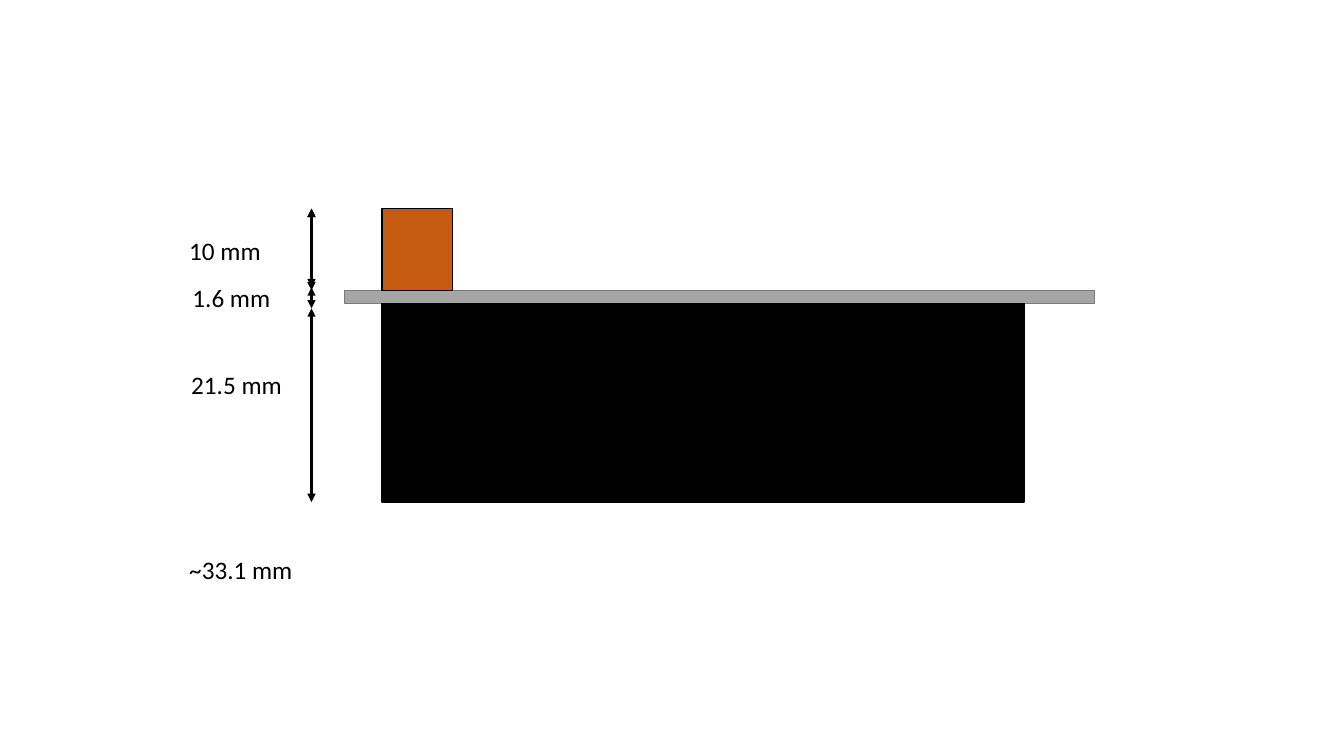
from lxml import etree
from pptx import Presentation
from pptx import util as u
from pptx.dml.color import RGBColor
from pptx.enum import shapes, text
from pptx.oxml.ns import qn

HUES = {"ink": "000000", "board": "A5A5A5", "edge": "7A7A7A", "copper": "C55A11"}


class Sketch:
    font = "Calibri"
    size = u.Pt(18)

    def __init__(self, slide):
        self.slide = slide

    def hue(self, name):
        return RGBColor.from_string(HUES[name])

    def block(self, left, top, width, height, fill, edge="ink"):
        box = self.slide.shapes.add_shape(
            shapes.MSO_SHAPE.RECTANGLE,
            u.Cm(left), u.Cm(top), u.Cm(width), u.Cm(height))
        box.shadow.inherit = False
        box.fill.solid()
        box.fill.fore_color.rgb = self.hue(fill)
        box.line.color.rgb = self.hue(edge)
        box.line.width = u.Pt(1)

    def arrow(self, left, top, base):
        line = self.slide.shapes.add_connector(
            shapes.MSO_CONNECTOR.STRAIGHT,
            u.Cm(left), u.Cm(top), u.Cm(left), u.Cm(base))
        line.line.color.rgb = self.hue("ink")
        line.line.width = u.Pt(1.5)
        stroke = line.line._get_or_add_ln()
        for end in ("a:headEnd", "a:tailEnd"):
            etree.SubElement(stroke, qn(end), type="triangle")
        etree.SubElement(line._element.spPr, qn("a:effectLst"))

    def label(self, left, top, width, words):
        box = self.slide.shapes.add_textbox(
            u.Cm(left), u.Cm(top), u.Cm(width), u.Cm(1.03))
        frame = box.text_frame
        frame.word_wrap = True
        frame.auto_size = text.MSO_AUTO_SIZE.SHAPE_TO_FIT_TEXT
        para = frame.paragraphs[0]
        para.text = words
        para.font.name = self.font
        para.font.size = self.size
        para.font.color.rgb = self.hue("ink")


def main():
    deck = Presentation()
    deck.slide_width, deck.slide_height = u.Cm(33.87), u.Cm(19.05)
    art = Sketch(deck.slides.add_slide(deck.slide_layouts[6]))

    peak, board, body, base = 5.26, 7.32, 7.65, 12.65
    art.block(8.69, board, 18.9, body - board, "board", "edge")
    art.block(9.63, body, 16.18, base - body, "ink")
    art.block(9.63, peak, 1.78, board - peak, "copper")

    for top, end in ((peak, 7.24), (7.24, 7.77), (7.77, base), (peak, board)):
        art.arrow(7.85, top, end)

    for left, top, width, words in (
        (4.52, 5.8, 3.07, "10 mm"),
        (4.6, 6.99, 3.07, "1.6 mm"),
        (4.57, 9.17, 3.07, "21.5 mm"),
        (4.52, 13.84, 3.91, "~33.1 mm"),
    ):
        art.label(left, top, width, words)

    deck.save("out.pptx")


if __name__ == "__main__":
    main()
